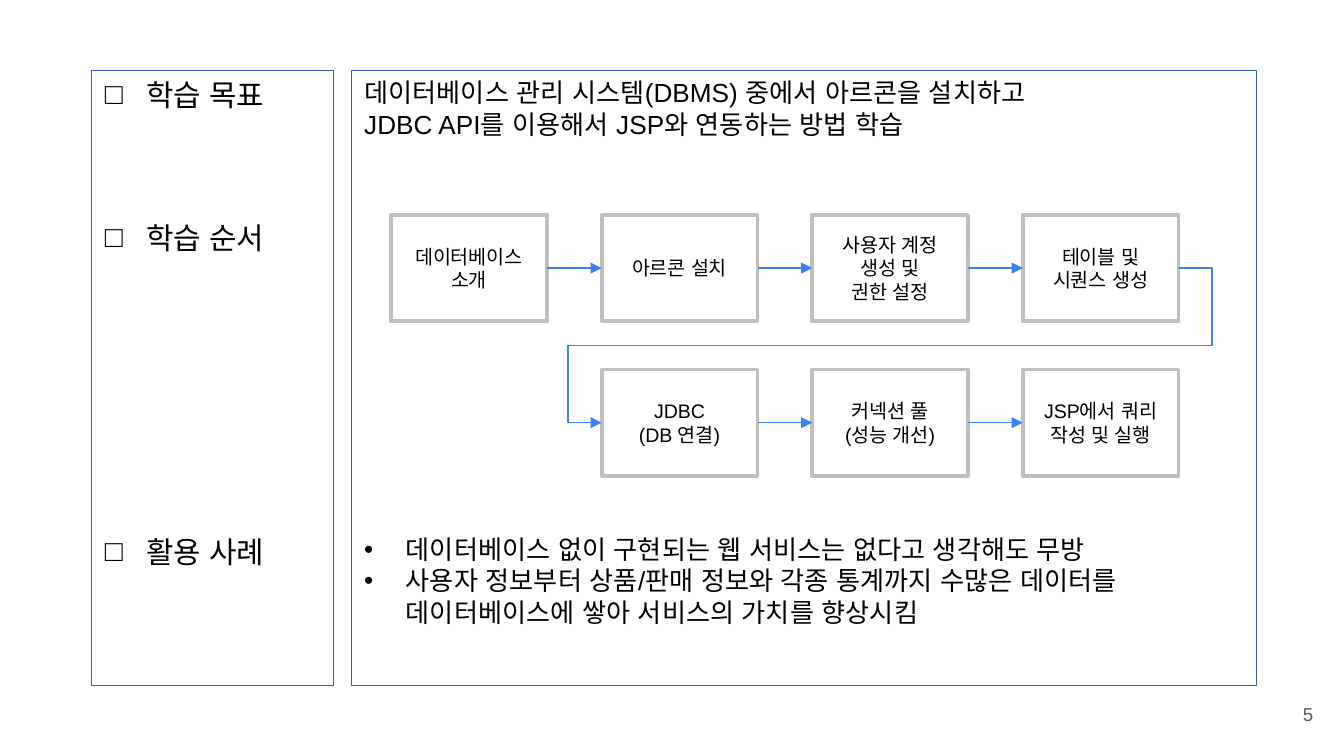
from copy import deepcopy
from dataclasses import dataclass
from itertools import pairwise

from lxml.etree import SubElement
from pptx import Presentation
from pptx.dml.color import RGBColor
from pptx.enum.shapes import MSO_CONNECTOR, MSO_SHAPE
from pptx.enum.text import MSO_ANCHOR, MSO_AUTO_SIZE, PP_ALIGN
from pptx.oxml.ns import qn
from pptx.util import Inches, Pt


@dataclass(frozen=True)
class Theme:
    font: str = "Arial"
    ink: str = "000000"
    muted: str = "595959"
    paper: str = "FFFFFF"
    frame: str = "3162B5"
    step_border: str = "BFBFBF"
    arrow: str = "3C81F3"
    heading_size: float = 16
    body_size: float = 14
    step_size: float = 10.5
    number_size: float = 10


THEME = Theme()

SLIDE_WIDTH = 10
SLIDE_HEIGHT = SLIDE_WIDTH * 9 / 16
PANEL_TOP, PANEL_HEIGHT = 0.52, 4.58
HANGING_INDENT = 0.31

# Grid of the learning steps
STEP_LEFT, STEP_TOP = 2.91, 1.6
STEP_WIDTH, STEP_HEIGHT = 1.16, 0.79
COLUMN_PITCH = (7.61 - STEP_LEFT) / 3
ROW_PITCH = 1.15

# (text, space before in points, bullet)
HEADINGS = [
    ("학습 목표", 0, "□"),
    ("학습 순서", 57.4, "□"),
    ("활용 사례", 149, "□"),
]
DETAILS = [
    ("데이터베이스 관리 시스템(DBMS) 중에서 아르콘을 설치하고 \n"
     "JDBC API를 이용해서 JSP와 연동하는 방법 학습", 0, None),
    ("데이터베이스 없이 구현되는 웹 서비스는 없다고 생각해도 무방", 211, "•"),
    ("사용자 정보부터 상품/판매 정보와 각종 통계까지 수많은 데이터를 "
     "데이터베이스에 쌓아 서비스의 가치를 향상시킴", 0, "•"),
]
# (column, row, text) in learning order
STEPS = [
    (0, 0, "데이터베이스\n소개"),
    (1, 0, "아르콘 설치"),
    (2, 0, "사용자 계정\n생성 및\n권한 설정"),
    (3, 0, "테이블 및\n시퀀스 생성"),
    (1, 1, "JDBC\n(DB 연결)"),
    (2, 1, "커넥션 풀\n(성능 개선)"),
    (3, 1, "JSP에서 쿼리\n작성 및 실행"),
]


def rgb(value):
    return RGBColor.from_string(value)


def write(paragraph, text, *, size, color=THEME.ink, align=PP_ALIGN.LEFT, before=0):
    paragraph.text = text
    paragraph.alignment = align
    paragraph.space_before = Pt(before)
    for run in paragraph.runs:
        run.font.name = THEME.font
        run.font.size = Pt(size)
        run.font.color.rgb = rgb(color)
        # Korean text takes its font from the East Asian slot.
        SubElement(run._r.rPr, qn("a:ea"), typeface=THEME.font)
    # Line breaks need the run's size too, or they stretch their lines.
    for line_break in paragraph._p.findall(qn("a:br")):
        line_break.append(deepcopy(paragraph.runs[0]._r.rPr))


def set_bullet(paragraph, bullet):
    """Give the paragraph a hanging bullet, or clear the inherited one."""
    properties = paragraph._p.get_or_add_pPr()
    indent = Inches(HANGING_INDENT) if bullet else 0
    properties.set("marL", str(indent))
    properties.set("indent", str(-indent))
    if not bullet:
        SubElement(properties, qn("a:buNone"))
        return
    color = SubElement(properties, qn("a:buClr"))
    SubElement(color, qn("a:srgbClr"), val=THEME.ink)
    SubElement(properties, qn("a:buFont"), typeface=THEME.font)
    SubElement(properties, qn("a:buChar"), char=bullet)


def fill_panel(panel, left, width, items, size):
    panel.left, panel.top = Inches(left), Inches(PANEL_TOP)
    panel.width, panel.height = Inches(width), Inches(PANEL_HEIGHT)
    panel.line.color.rgb = rgb(THEME.frame)
    panel.line.width = Pt(0.25)
    frame = panel.text_frame
    frame.auto_size = MSO_AUTO_SIZE.NONE
    frame.vertical_anchor = MSO_ANCHOR.TOP
    for index, (text, before, bullet) in enumerate(items):
        paragraph = frame.add_paragraph() if index else frame.paragraphs[0]
        write(paragraph, text, size=size, before=before)
        set_bullet(paragraph, bullet)


def add_step(slide, column, row, text):
    step = slide.shapes.add_shape(
        MSO_SHAPE.RECTANGLE,
        Inches(STEP_LEFT + column * COLUMN_PITCH),
        Inches(STEP_TOP + row * ROW_PITCH),
        Inches(STEP_WIDTH), Inches(STEP_HEIGHT))
    step.shadow.inherit = False
    step.fill.solid()
    step.fill.fore_color.rgb = rgb(THEME.paper)
    step.line.color.rgb = rgb(THEME.step_border)
    step.line.width = Pt(2)
    step.text_frame.word_wrap = False
    step.text_frame.vertical_anchor = MSO_ANCHOR.MIDDLE
    write(step.text_frame.paragraphs[0], text,
          size=THEME.step_size, align=PP_ALIGN.CENTER)
    return step


def route_around(connector):
    """Leave to the right, pass between the rows and enter from the left."""
    geometry = connector._element.spPr.find(qn("a:prstGeom"))
    geometry.set("prst", "bentConnector5")
    guides = geometry.find(qn("a:avLst"))
    for name, share in (("adj1", -5800), ("adj2", 50000), ("adj3", 105800)):
        SubElement(guides, qn("a:gd"), name=name, fmla=f"val {share}")


def add_arrow(slide, source, target):
    same_row = source.top == target.top
    kind = MSO_CONNECTOR.STRAIGHT if same_row else MSO_CONNECTOR.ELBOW
    arrow = slide.shapes.add_connector(kind, 0, 0, 0, 0)
    arrow.begin_connect(source, 3)
    arrow.end_connect(target, 1)
    if not same_row:
        route_around(arrow)
    arrow.line.color.rgb = rgb(THEME.arrow)
    arrow.line.width = Pt(0.75)
    SubElement(arrow.line._get_or_add_ln(), qn("a:tailEnd"), type="triangle")
    SubElement(arrow._element.spPr, qn("a:effectLst"))


def add_page_number(slide, number):
    box = slide.shapes.add_textbox(
        Inches(9.27), Inches(5.1), Inches(0.6), Inches(0.43))
    frame = box.text_frame
    frame.word_wrap = True
    frame.vertical_anchor = MSO_ANCHOR.MIDDLE
    write(frame.paragraphs[0], number, size=THEME.number_size,
          color=THEME.muted, align=PP_ALIGN.RIGHT)


def main():
    presentation = Presentation()
    presentation.slide_width = Inches(SLIDE_WIDTH)
    presentation.slide_height = Inches(SLIDE_HEIGHT)
    two_content = presentation.slide_layouts[3]
    slide = presentation.slides.add_slide(two_content)

    title, headings, details = slide.placeholders
    title._element.getparent().remove(title._element)
    fill_panel(headings, 0.68, 1.8, HEADINGS, THEME.heading_size)
    fill_panel(details, 2.61, 6.74, DETAILS, THEME.body_size)

    steps = [add_step(slide, *step) for step in STEPS]
    for source, target in pairwise(steps):
        add_arrow(slide, source, target)
    add_page_number(slide, "5")
    presentation.save("out.pptx")


if __name__ == "__main__":
    main()
